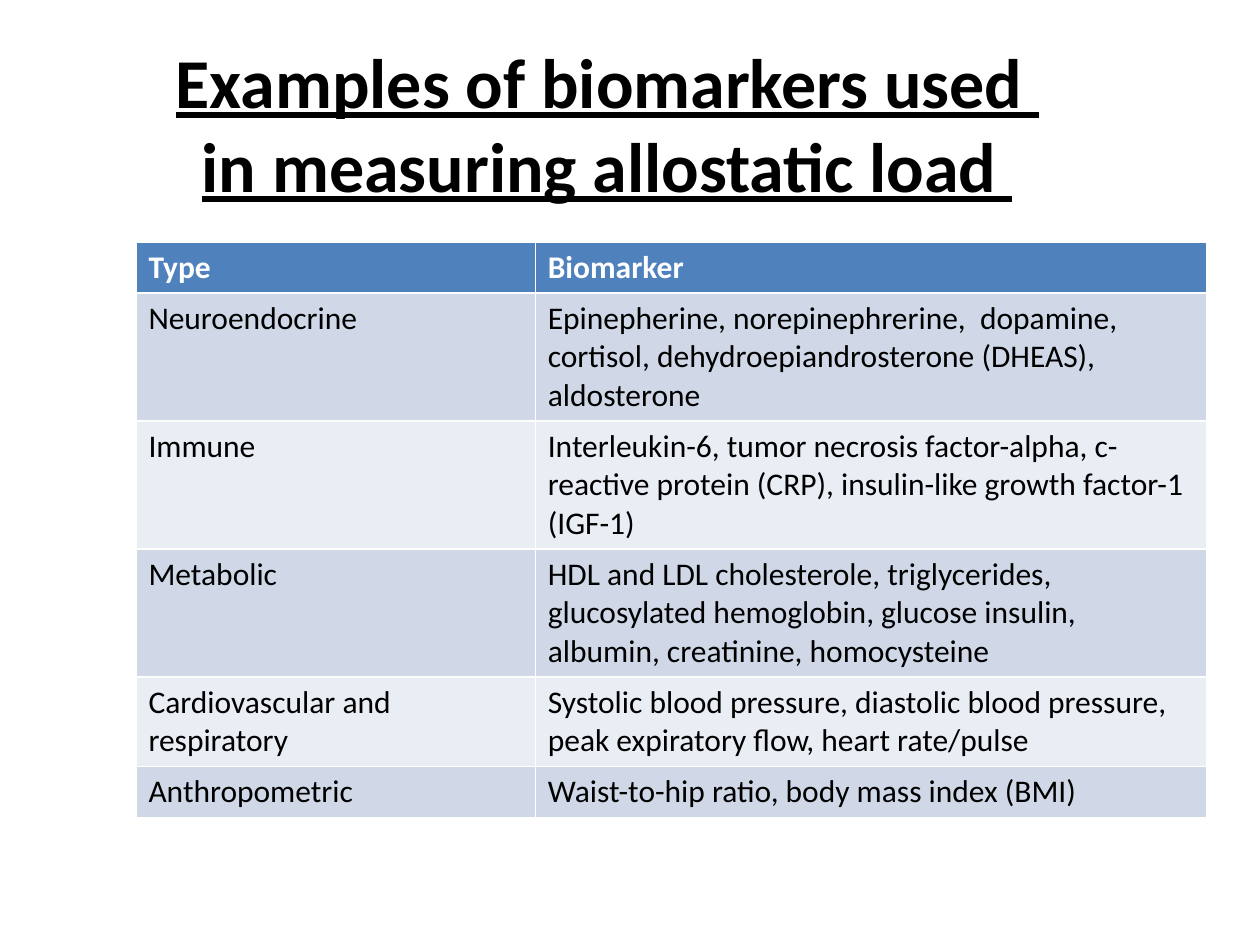
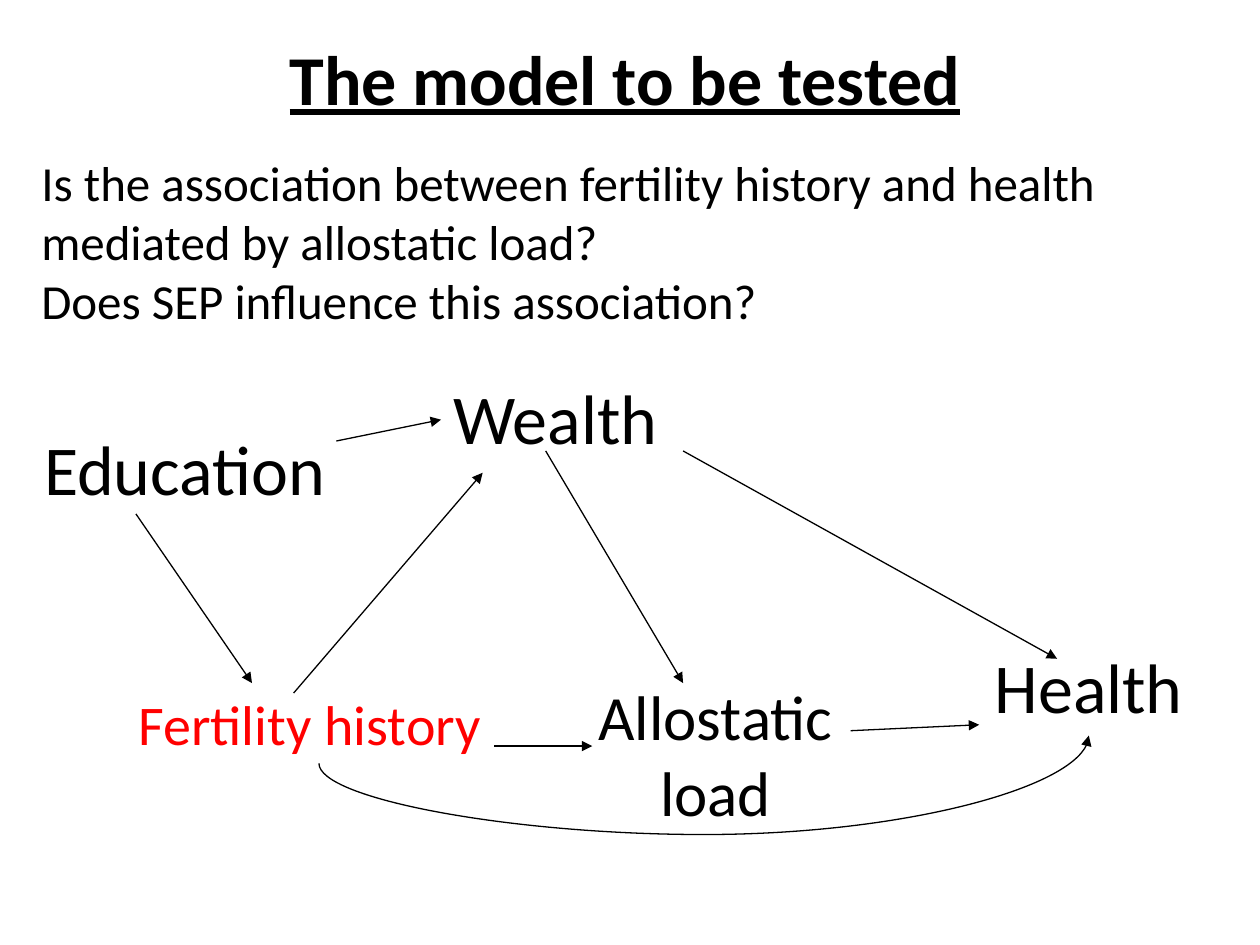
from lxml import etree
from pptx import Presentation
from pptx.dml.color import RGBColor
from pptx.enum.shapes import MSO_CONNECTOR as CONN
from pptx.enum.text import MSO_ANCHOR, MSO_AUTO_SIZE, PP_ALIGN
from pptx.oxml.ns import qn
from pptx.util import Cm, Pt

FONT = "Calibri"
BLACK = RGBColor(0x00, 0x00, 0x00)
WHITE = RGBColor(0xFF, 0xFF, 0xFF)
RED = RGBColor(0xFF, 0x00, 0x00)
HEADER_BLUE = RGBColor(0x4F, 0x81, 0xBD)
BANDS = [RGBColor(0xE9, 0xED, 0xF4), RGBColor(0xD0, 0xD8, 0xE8)]


def fill_text(tf, text, size, color=BLACK, bold=False, underline=False, align=PP_ALIGN.LEFT):
    tf.text = text
    tf.word_wrap = True
    tf.auto_size = MSO_AUTO_SIZE.NONE
    tf.vertical_anchor = MSO_ANCHOR.TOP
    for p in tf.paragraphs:
        p.alignment = align
        p.space_before = Pt(0)
        for r in p.runs:
            r.font.name, r.font.size = FONT, Pt(size)
            r.font.bold, r.font.underline = bold, underline
            r.font.color.rgb = color


def add_arrow(s, kind, *ends):
    cxn = s.shapes.add_connector(kind, *map(Cm, ends))
    cxn.line.color.rgb = BLACK
    cxn.line.width = Pt(0.75)
    etree.SubElement(cxn.line._get_or_add_ln(), qn("a:tailEnd"), type="triangle")
    etree.SubElement(cxn._element.spPr, qn("a:effectLst"))
    return cxn


prs = Presentation()
prs.slide_width, prs.slide_height = Cm(25.4), Cm(19.05)

titles = [
    (5, "Examples of biomarkers used \nin measuring allostatic load ", (0.43, 0.64, 23.62, 3.68)),
    (1, "The model to be tested", (0.79, 0.58, 23.62, 1.96)),
]
for layout, text, box in titles:
    s = prs.slides.add_slide(prs.slide_layouts[layout])
    title = s.shapes.title
    title.left, title.top, title.width, title.height = map(Cm, box)
    fill_text(title.text_frame, text, 40, bold=True, underline=True, align=PP_ALIGN.CENTER)
table_slide, model_slide = prs.slides

# Biomarker table
biomarkers = [
    ("Type", "Biomarker"),
    ("Neuroendocrine", "Epinepherine, norepinephrerine,  dopamine, cortisol, "
     "dehydroepiandrosterone (DHEAS), aldosterone"),
    ("Immune", "Interleukin-6, tumor necrosis factor-alpha, c-reactive protein (CRP), "
     "insulin-like growth factor-1 (IGF-1)"),
    ("Metabolic", "HDL and LDL cholesterole, triglycerides, glucosylated hemoglobin, "
     "glucose insulin, albumin, creatinine, homocysteine"),
    ("Cardiovascular and respiratory", "Systolic blood pressure, diastolic blood pressure, "
     "peak expiratory flow, heart rate/pulse"),
    ("Anthropometric", "Waist-to-hip ratio, body mass index (BMI)"),
]
row_height = 1.03
table = table_slide.shapes.add_table(len(biomarkers), 2, Cm(2.74), Cm(4.88), Cm(21.59),
                                     Cm(row_height * len(biomarkers))).table
table.columns[0].width, table.columns[1].width = Cm(8.05), Cm(13.54)
for i, row in enumerate(biomarkers):
    header = i == 0
    for j, text in enumerate(row):
        cell = table.cell(i, j)
        cell.fill.solid()
        cell.fill.fore_color.rgb = HEADER_BLUE if header else BANDS[i % 2]
        cell.text = text
        font = cell.text_frame.paragraphs[0].runs[0].font
        font.name, font.size, font.bold = FONT, Pt(18), header
        font.color.rgb = WHITE if header else BLACK

# Research questions
s = model_slide
body = s.placeholders[1]
body.left, body.top, body.width, body.height = map(Cm, (0.58, 2.95, 23.22, 3.84))
fill_text(body.text_frame, "Is the association between fertility history and health mediated by "
          "allostatic load?\nDoes SEP influence this association?", 28)
for p in body.text_frame.paragraphs:
    pPr = p._p.get_or_add_pPr()
    pPr.set("marL", "0")
    pPr.set("indent", "0")
    etree.SubElement(pPr, qn("a:buNone"))

# Path model
factors = [
    ("Fertility history", (2.54, 13.77, 7.75, 1.63), 32, RED, PP_ALIGN.LEFT),
    ("Allostatic load", (11.63, 13.54, 5.59, 3.33), 36, BLACK, PP_ALIGN.CENTER),
    ("Health", (19.69, 12.85, 4.52, 1.96), 40, BLACK, PP_ALIGN.CENTER),
    ("Education", (0.64, 8.46, 6.99, 1.96), 40, BLACK, PP_ALIGN.LEFT),
    ("Wealth", (8.89, 7.42, 4.85, 1.96), 40, BLACK, PP_ALIGN.LEFT),
]
for text, box, size, color, align in factors:
    tf = s.shapes.add_textbox(*map(Cm, box)).text_frame
    fill_text(tf, text, size, color, align=align)

arrows = [
    (9.96, 15.04, 11.94, 15.04),   # fertility history to allostatic load
    (6.78, 8.89, 8.89, 8.46),      # education to wealth
    (13.77, 9.09, 21.31, 13.28),   # wealth to health
    (17.15, 14.73, 19.74, 14.61),  # allostatic load to health
    (2.74, 10.36, 5.08, 13.77),    # education to fertility history
    (11, 9.09, 13.77, 13.77),      # wealth to allostatic load
    (5.92, 13.97, 9.73, 9.53),     # fertility history to wealth
]
for ends in arrows:
    add_arrow(s, CONN.STRAIGHT, *ends)

# Fertility history to health: a quarter turn makes the curve sag below the labels
curve = add_arrow(s, CONN.CURVE, 14.47, 22.87, 13.91, 7.35)
spPr = curve._element.spPr
spPr.find(qn("a:xfrm")).set("rot", str(90 * 60000))
geom = spPr.find(qn("a:prstGeom"))
guides = geom.find(qn("a:avLst"))
if guides is None:
    guides = etree.SubElement(geom, qn("a:avLst"))
etree.SubElement(guides, qn("a:gd"), name="adj1", fmla="val -256300")

prs.save("out.pptx")
